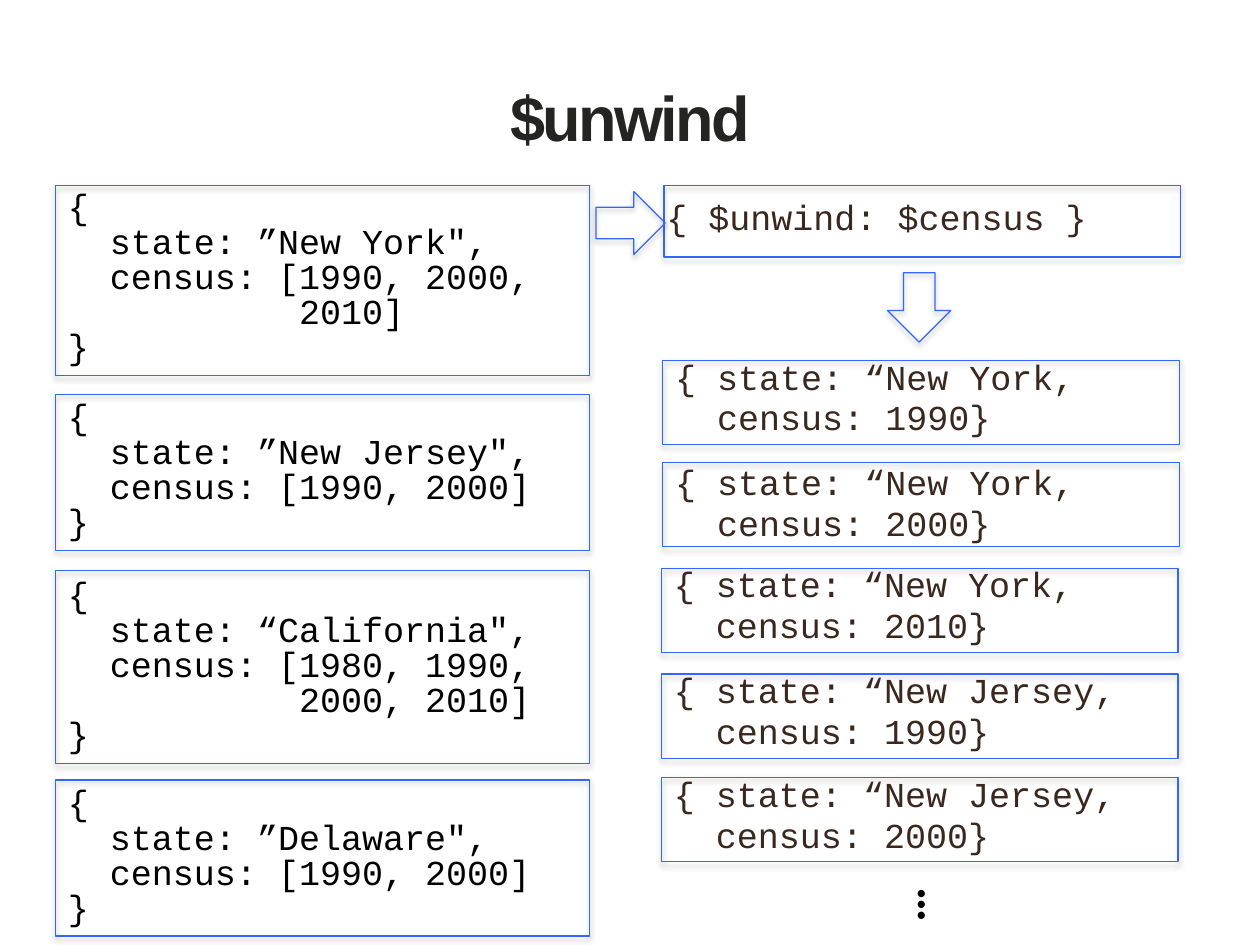
from lxml import etree
from pptx import Presentation
from pptx.dml.color import RGBColor
from pptx.enum.shapes import MSO_SHAPE
from pptx.enum.text import MSO_ANCHOR, MSO_AUTO_SIZE, PP_ALIGN
from pptx.oxml import parse_xml
from pptx.util import Inches, Pt

RECT, ARROW = MSO_SHAPE.RECTANGLE, MSO_SHAPE.RIGHT_ARROW
MIDDLE, CENTER = MSO_ANCHOR.MIDDLE, PP_ALIGN.CENTER
GROW = MSO_AUTO_SIZE.SHAPE_TO_FIT_TEXT

BLUE, BROWN, BLACK, CHARCOAL = "3366FF", "3A281E", "000000", "242423"
CODE = {"name": "Courier New", "size": Pt(20)}
TITLE = {"name": "Arial", "size": Pt(36), "bold": True}
DOTS = {"name": "Calibri", "size": Pt(28), "bold": True}

SHADOW = (
    '<a:effectLst xmlns:a="http://schemas.openxmlformats.org/drawingml/2006/main">'
    '<a:outerShdw blurRad="40000" dist="23000" dir="5400000" rotWithShape="0">'
    '<a:srgbClr val="000000"><a:alpha val="35000"/></a:srgbClr>'
    "</a:outerShdw></a:effectLst>"
)

# Left column: top, height, text top, lines of each input document
DOCUMENTS = [
    (1.47, 1.51, 1.47, ["{", '  state: ”New York",', "  census: [1990, 2000,",
                        "           2010]", "}"]),
    (3.13, 1.24, 3.14, ["{", '  state: ”New Jersey",', "  census: [1990, 2000]", "}"]),
    (4.53, 1.53, 4.55, ["{", '  state: “California",', "  census: [1980, 1990,",
                        "           2000, 2010]", "}"]),
    (6.19, 1.24, 6.2, ["{", '  state: ”Delaware",', "  census: [1990, 2000]", "}"]),
]
# Right column: left, top, text top, state, year of each unwound document
RESULTS = [
    (5.26, 2.86, 2.86, "New York", 1990),
    (5.26, 3.67, 3.7, "New York", 2000),
    (5.25, 4.51, 4.51, "New York", 2010),
    (5.25, 5.35, 5.35, "New Jersey", 1990),
    (5.25, 6.17, 6.17, "New Jersey", 2000),
]


def rgb(value):
    return RGBColor.from_string(value)


def add_outline(slide, kind, left, top, width, height, rotation=0):
    """Unfilled blue outline with a soft shadow below it."""
    outline = slide.shapes.add_shape(
        kind, Inches(left), Inches(top), Inches(width), Inches(height))
    outline.rotation = rotation
    outline.fill.background()
    outline.line.color.rgb = rgb(BLUE)
    outline.line.width = Pt(0.75)
    outline.shadow.inherit = False
    properties = outline._element.spPr
    properties.replace(properties.find("{*}effectLst"), parse_xml(SHADOW))


def add_text(slide, left, top, width, height, lines, style, color,
             spacings=(None,), wrap=True):
    """Text box with one paragraph a line; the last spacing serves the rest."""
    box = slide.shapes.add_textbox(
        Inches(left), Inches(top), Inches(width), Inches(height))
    frame = box.text_frame
    frame.word_wrap = wrap
    frame.auto_size = GROW
    for index, line in enumerate(lines):
        paragraph = frame.paragraphs[0] if index == 0 else frame.add_paragraph()
        paragraph.line_spacing = spacings[min(index, len(spacings) - 1)]
        run = paragraph.add_run()
        run.text = line
        for attribute, value in style.items():
            setattr(run.font, attribute, value)
        run.font.color.rgb = rgb(color)
    return box


def add_title(slide, left, top, width, height):
    title = add_text(slide, left, top, width, height, ["$unwind"], TITLE, CHARCOAL)
    frame = title.text_frame
    frame.auto_size = MSO_AUTO_SIZE.NONE
    frame.vertical_anchor = MIDDLE
    paragraph = frame.paragraphs[0]
    paragraph.alignment = CENTER
    paragraph.runs[0].font._element.set("spc", "-150")


def add_documents(slide, left, width):
    for top, height, text_top, lines in DOCUMENTS:
        add_outline(slide, RECT, left, top, width, height)
        add_text(slide, left, text_top, width + 0.1, height, lines, CODE, BLACK,
                 [Pt(20)])


def add_operator(slide, left, top, width, height):
    add_outline(slide, RECT, left, top, width, height)
    add_text(slide, left - 0.08, top, width, 0.47, ["{ $unwind: $census }"],
             CODE, BROWN, [1.1])


def add_results(slide, width, height):
    for left, top, text_top, state, year in RESULTS:
        add_outline(slide, RECT, left, top, width, height)
        lines = [f"{{ state: “{state},", f"  census: {year}}}"]
        add_text(slide, left, text_top, width, height, lines, CODE, BROWN,
                 [0.7, None])
    # Vertical dots: more results follow
    dots = add_text(slide, 7.2, 6.9, 0.48, 0.57, ["…"], DOTS, BLACK, wrap=False)
    dots.rotation = 90


def main():
    deck = Presentation()
    deck.slide_width, deck.slide_height = Inches(10), Inches(7.5)
    slide = deck.slides.add_slide(deck.slide_layouts[6])

    add_title(slide, 0.5, 0.3, 9, 1.25)
    add_documents(slide, 0.44, 4.24)
    add_operator(slide, 5.27, 1.47, 4.1, 0.57)
    add_results(slide, 4.1, 0.67)
    # Flow: documents to operator, operator to results
    add_outline(slide, ARROW, 4.73, 1.52, 0.55, 0.5)
    add_outline(slide, ARROW, 7.02, 2.19, 0.55, 0.5, rotation=90)

    deck.save("out.pptx")


if __name__ == "__main__":
    main()
